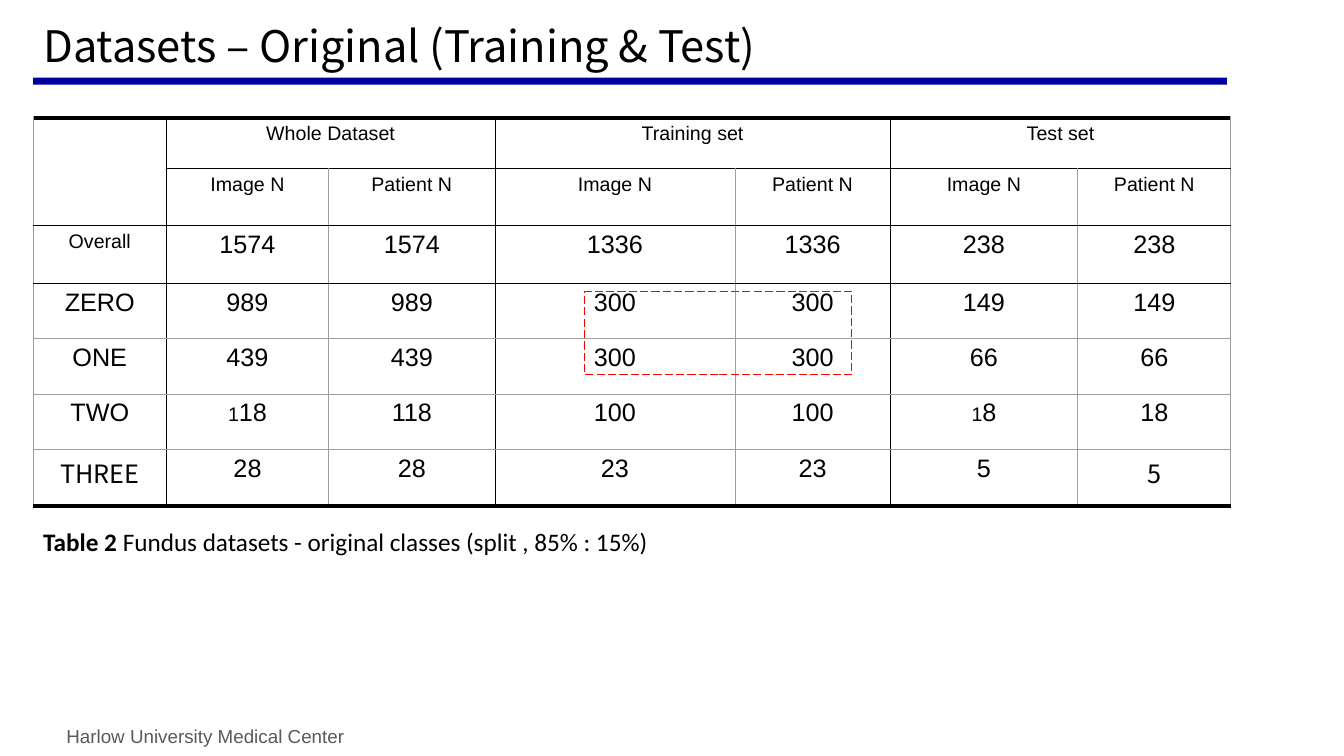
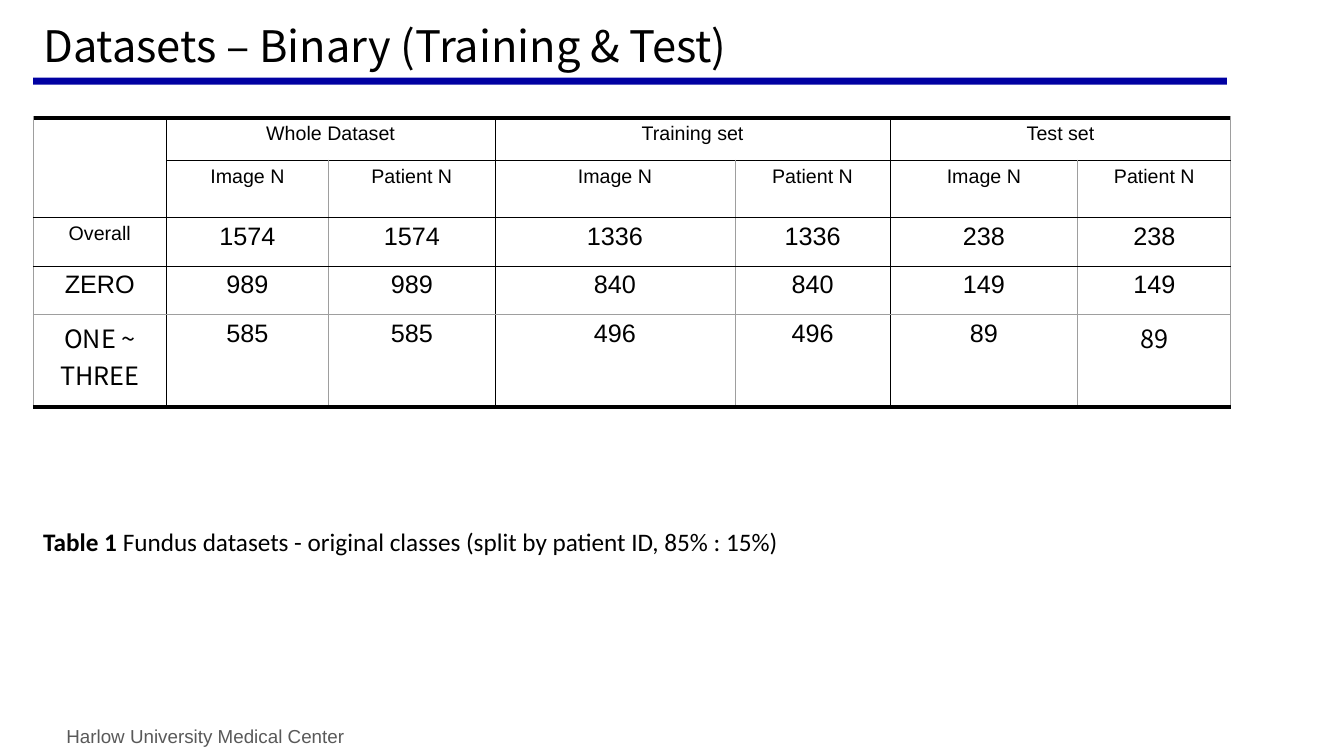
"""Build two slides with tables of dataset splits."""
from lxml import etree
from pptx import Presentation
from pptx import util as u
from pptx.dml.color import RGBColor
from pptx.enum import dml, shapes, text
from pptx.oxml.ns import qn

PX = 9144
COLORS = {"black": "000000", "grid": "9E9E9E", "band": "0000A2",
          "footer": "595959", "red": "FF0000"}
SANS, TITLE_FONT, CAPTION_FONT = "Arial", "Noto Sans CJK KR", "Calibri"
SMALL, LARGE = 14, 18

FOOTER = "Harlow University Medical Center"
GROUPS = ["Whole Dataset", "Training set", "Test set"]
COUNTS = ["Image N", "Patient N"]
COL_WIDTHS = [132, 161, 165, 238, 154, 186, 152]
TABLE_LEFT, TABLE_TOP = 33, 117

SLIDES = [
    {"title": "Datasets – Original (Training & Test)",
     "heights": [50, 57, 57, 55, 55, 55, 56],
     "rows": [
         ["Overall", "1574", "1574", "1336", "1336", "238", "238"],
         ["ZERO", "989", "989", "300", "300", "149", "149"],
         ["ONE", "439", "439", "300", "300", "66", "66"],
         ["TWO", ("1", "18"), "118", "100", "100", ("1", "8"), "18"],
         ["THREE", "28", "28", "23", "23", "5", "5"]],
     "caption": ("Table 2", " Fundus datasets - original classes (split , 85% : 15%)"),
     "highlight": (580, 289, 265, 83)},
    {"title": "Datasets – Binary (Training & Test)",
     "heights": [42, 57, 48, 48, 92],
     "rows": [
         ["Overall", "1574", "1574", "1336", "1336", "238", "238"],
         ["ZERO", "989", "989", "840", "840", "149", "149"],
         ["ONE ~ THREE", "585", "585", "496", "496", "89", "89"]],
     "caption": ("Table 1", " Fundus datasets - original classes (split by patient ID, 85% : 15%)")},
]


def px(*values):
    return [u.Emu(v * PX) for v in values]


def rgb(name):
    return RGBColor.from_string(COLORS[name])


def write(p, content, size=LARGE, font=SANS, color="black", bold=False, align=None):
    r = p.add_run()
    r.text = content
    r.font.size, r.font.name, r.font.bold = u.Pt(size), font, bold
    r.font.color.rgb = rgb(color)
    if align is not None:
        p.alignment = align


def add_box(s, *place):
    tf = s.shapes.add_textbox(*px(*place)).text_frame
    tf.word_wrap = True
    return tf.paragraphs[0]


def add_rect(s, *place):
    sp = s.shapes.add_shape(shapes.MSO_SHAPE.RECTANGLE, *px(*place))
    sp.shadow.inherit = False
    return sp


def add_frame(s, title):
    sp = s.shapes.title
    sp.left, sp.top, sp.width, sp.height = px(33, 21, 1267, 55)
    tf = sp.text_frame
    tf.auto_size = text.MSO_AUTO_SIZE.NONE
    tf.vertical_anchor = text.MSO_ANCHOR.BOTTOM
    p = tf.paragraphs[0]
    p.line_spacing = 0.9
    write(p, title, 31, TITLE_FONT, align=text.PP_ALIGN.LEFT)
    band = add_rect(s, 33, 77, 1184, 7)
    band.fill.solid()
    band.fill.fore_color.rgb = rgb("band")
    band.line.fill.background()
    write(add_box(s, 56, 714, 343, 32), FOOTER, 13.4, color="footer")


def vertical_line(edge):
    return ("black" if edge in (1, 3, 5) else "grid", 0.75)


def horizontal_line(edge, row_count):
    if edge in (0, row_count):
        return ("black", 3)
    if edge == 1:
        return ("black", 0.96)
    return ("black" if edge <= 3 else "grid", 0.75)


def set_borders(cell, top, left, bottom, right, row_count):
    cell.fill.background()
    lines = {"a:lnL": vertical_line(left), "a:lnR": vertical_line(right),
             "a:lnT": horizontal_line(top, row_count),
             "a:lnB": horizontal_line(bottom, row_count)}
    tc_pr = cell._tc.get_or_add_tcPr()
    for i, (tag, (color, width)) in enumerate(lines.items()):
        ln = etree.Element(qn(tag), w=str(u.Pt(width)))
        fill = etree.SubElement(ln, qn("a:solidFill"))
        etree.SubElement(fill, qn("a:srgbClr"), val=COLORS[color])
        tc_pr.insert(i, ln)


def cell_span(row, col):
    if col == 0 and row < 2:
        return 0, 0, 2, 1
    if row == 0:
        left = col - (col - 1) % 2
        return 0, left, 1, left + 2
    return row, col, row + 1, col + 1


def add_dataset_table(s, heights, rows):
    header = [[""] + [t for g in GROUPS for t in (g, "")], [""] + COUNTS * len(GROUPS)]
    grid = header + rows
    n = len(grid)
    frame = s.shapes.add_table(n, len(COL_WIDTHS), *px(
        TABLE_LEFT, TABLE_TOP, sum(COL_WIDTHS), sum(heights)))
    table = frame.table
    table.first_row = table.horz_banding = False
    for column, width in zip(table.columns, px(*COL_WIDTHS)):
        column.width = width
    for row, height in zip(table.rows, px(*heights)):
        row.height = height
    for i, values in enumerate(grid):
        for j, value in enumerate(values):
            cell = table.cell(i, j)
            top, left, bottom, right = cell_span(i, j)
            set_borders(cell, top, left, bottom, right, n)
            if (i, j) == (top, left) and (bottom - top, right - left) != (1, 1):
                cell.merge(table.cell(bottom - 1, right - 1))
            if not value:
                continue
            size = SMALL if i < 2 or value == "Overall" else LARGE
            font = TITLE_FONT if i == n - 1 and j in (0, len(values) - 1) else SANS
            runs = [(value, size)] if isinstance(value, str) else zip(value, (SMALL, LARGE))
            for content, run_size in runs:
                write(cell.text_frame.paragraphs[0], content, run_size, font,
                      align=text.PP_ALIGN.CENTER)


def add_highlight(s, place):
    sp = add_rect(s, *place)
    sp.fill.background()
    sp.line.color.rgb = rgb("red")
    sp.line.width = u.Pt(0.75)
    sp.line.dash_style = dml.MSO_LINE.LONG_DASH


def main():
    prs = Presentation()
    prs.slide_width, prs.slide_height = px(1333, 750)
    for data in SLIDES:
        s = prs.slides.add_slide(prs.slide_layouts[5])
        add_frame(s, data["title"])
        add_dataset_table(s, data["heights"], data["rows"])
        label, caption = data["caption"]
        p = add_box(s, 33, 517, 929, 33)
        write(p, label, font=CAPTION_FONT, bold=True)
        write(p, caption, font=CAPTION_FONT)
        if "highlight" in data:
            add_highlight(s, data["highlight"])
    prs.save("out.pptx")


if __name__ == "__main__":
    main()
